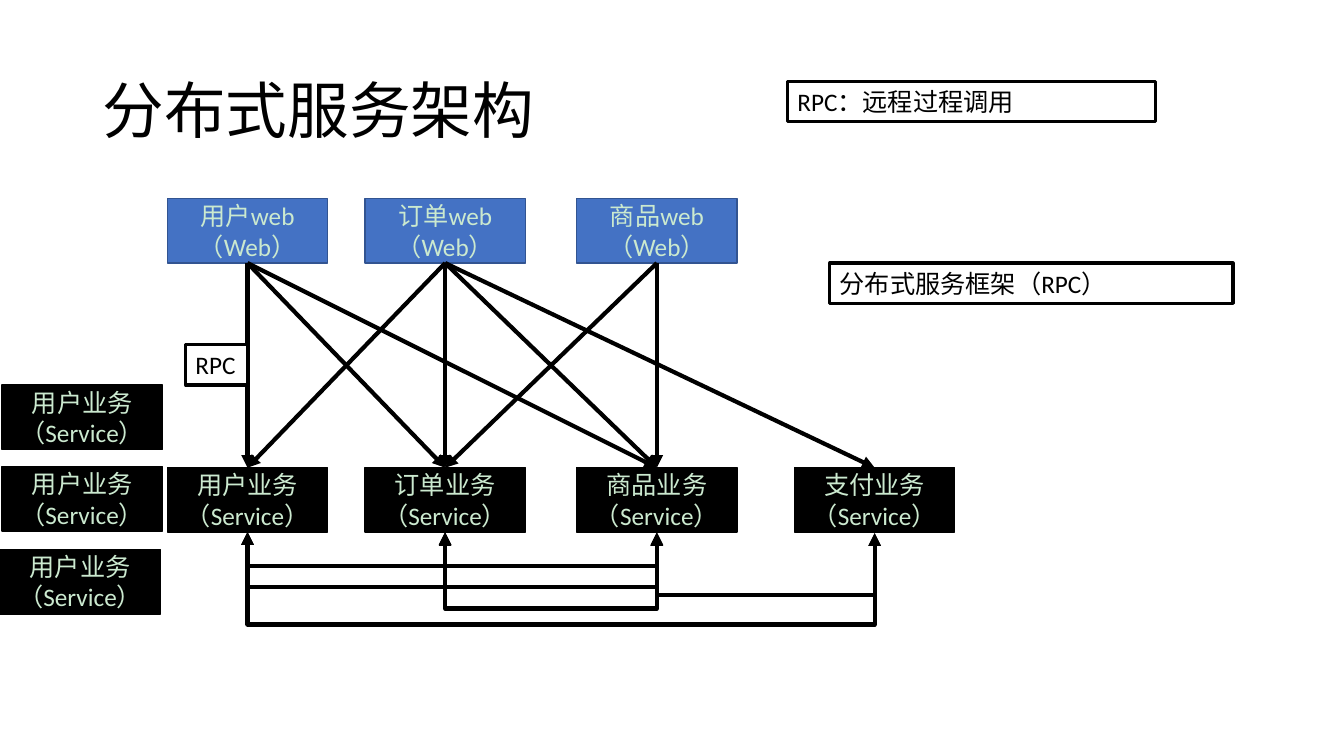
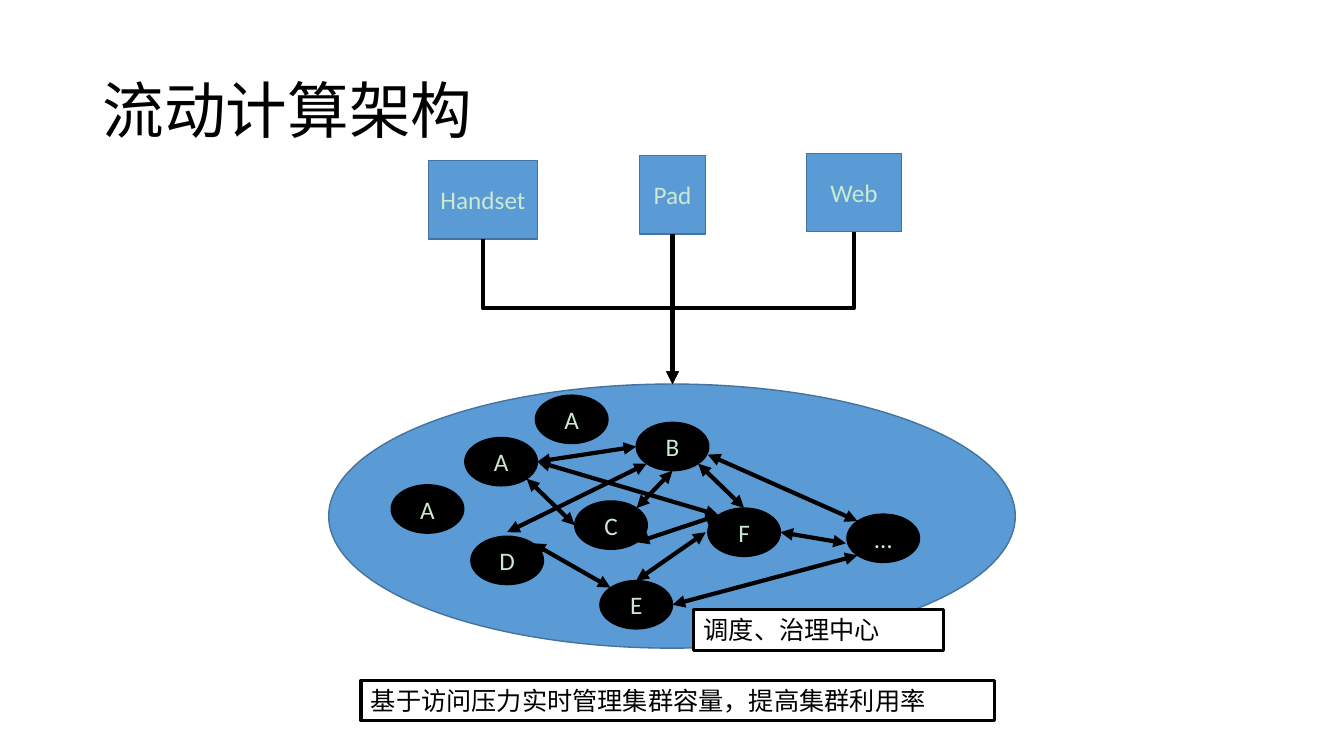
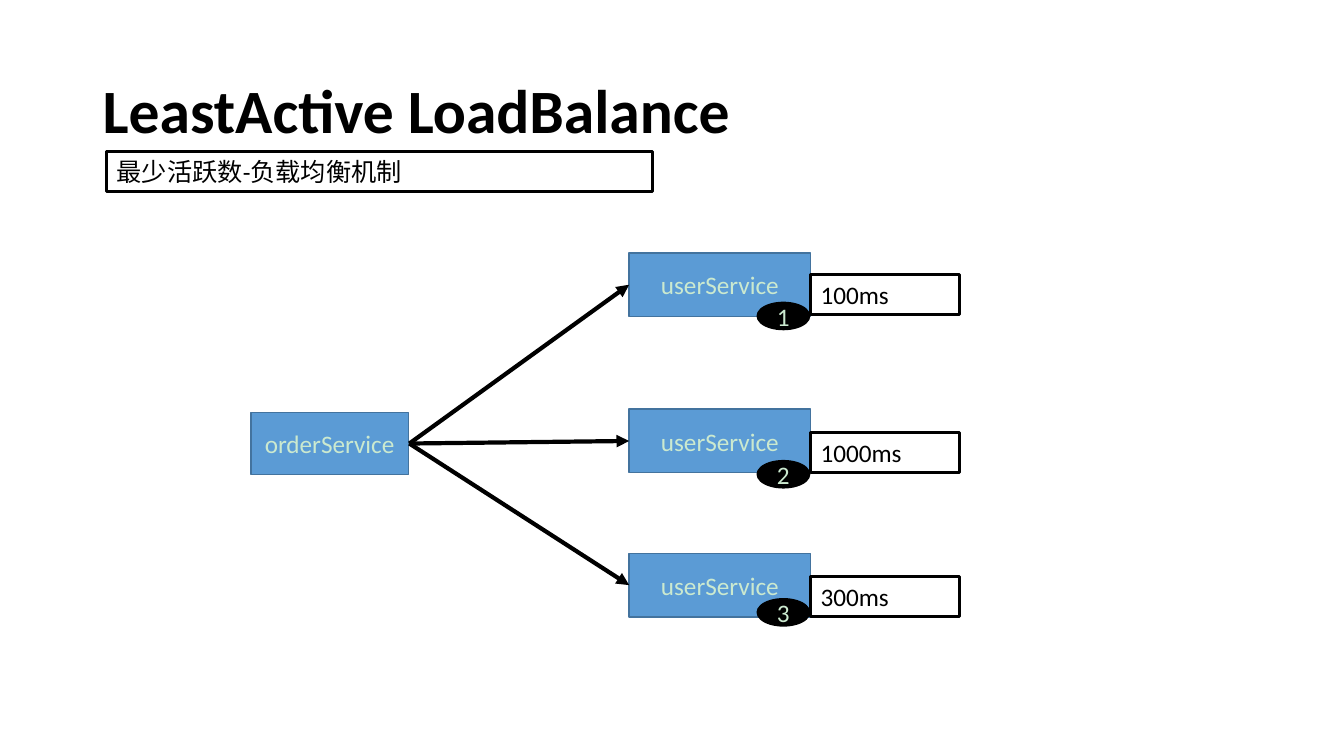
from dataclasses import dataclass
from math import sqrt

from lxml import etree
from pptx import Presentation
from pptx import util as u
from pptx.dml.color import RGBColor
from pptx.enum import shapes, text
from pptx.oxml.ns import qn


@dataclass(frozen=True)
class Theme:
    font: str = "Calibri"
    title_size: int = 44
    body_size: int = 18
    paper: str = "FFFFFF"
    ink: str = "000000"
    pale: str = "CBE9CF"
    web: tuple = ("4472C4", "325491")
    client: tuple = ("5B9BD5", "43739E")
    service: tuple = ("000000", "000000")
    edge_width: float = 1
    label_width: float = 2.25
    arrow_width: float = 3


T = Theme()
RECT = shapes.MSO_SHAPE.RECTANGLE
OVAL = shapes.MSO_SHAPE.OVAL
STRAIGHT = shapes.MSO_CONNECTOR.STRAIGHT
ELBOW = shapes.MSO_CONNECTOR.ELBOW


def rgb(color):
    return RGBColor.from_string(color)


def inches(*values):
    return [u.Inches(v) for v in values]


def write(tf, content, color, size=T.body_size, align=None, bold=None):
    tf.word_wrap = True
    for i, line in enumerate(content.split("\n")):
        p = tf.add_paragraph() if i else tf.paragraphs[0]
        p.text = line
        p.alignment = align
        p.font.name, p.font.size, p.font.bold = T.font, u.Pt(size), bold
        p.font.color.rgb = rgb(color)


def add_slide(prs, title, bold=None):
    s = prs.slides.add_slide(prs.slide_layouts[6])
    s.background.fill.solid()
    s.background.fill.fore_color.rgb = rgb(T.paper)
    tf = s.shapes.add_textbox(*inches(0.92, 0.4, 11.5, 1.45)).text_frame
    write(tf, title, T.ink, T.title_size, bold=bold)
    tf.vertical_anchor = text.MSO_ANCHOR.MIDDLE
    tf.paragraphs[0].line_spacing = 0.9
    return s


def add_shape(s, kind, box, fill, line, width):
    sp = s.shapes.add_shape(kind, *inches(*box))
    sp.shadow.inherit = False
    sp.fill.solid()
    sp.fill.fore_color.rgb = rgb(fill)
    sp.line.color.rgb = rgb(line)
    sp.line.width = u.Pt(width)
    return sp


def add_node(s, content, box, colors, kind=RECT):
    sp = add_shape(s, kind, box, *colors, T.edge_width)
    sp.text_frame.vertical_anchor = text.MSO_ANCHOR.MIDDLE
    if content:
        write(sp.text_frame, content, T.pale, align=text.PP_ALIGN.CENTER)


def add_label(s, content, x, y, width):
    sp = add_shape(s, RECT, (x, y, width, 0.4), T.paper, T.ink, T.label_width)
    tf = sp.text_frame
    write(tf, content, T.ink, align=text.PP_ALIGN.LEFT)
    tf.vertical_anchor = text.MSO_ANCHOR.TOP
    tf.auto_size = text.MSO_AUTO_SIZE.SHAPE_TO_FIT_TEXT


def add_arrow(s, start, end, both=False, kind=STRAIGHT):
    c = s.shapes.add_connector(kind, *inches(*start, *end))
    c.line.color.rgb = rgb(T.ink)
    c.line.width = u.Pt(T.arrow_width)
    props = c.element.spPr
    ln = props.find(qn("a:ln"))
    for tag in ("a:headEnd", "a:tailEnd") if both else ("a:tailEnd",):
        etree.SubElement(ln, qn(tag), type="triangle")
    etree.SubElement(props, qn("a:effectLst"))
    return c


def add_elbow(s, start, end, bend_y, both=False):
    (x1, y1), (x2, y2) = start, end
    mid_x, mid_y = (x1 + x2) / 2, (y1 + y2) / 2
    half_run, half_drop = abs(x2 - x1) / 2, (y2 - y1) / 2
    rightward = x2 > x1
    reach = half_drop if rightward else -half_drop
    c = add_arrow(s, (mid_x + reach, mid_y - half_run),
                  (mid_x - reach, mid_y + half_run), both, ELBOW)
    props = c.element.spPr
    props.find(qn("a:xfrm")).set("rot", str((270 if rightward else 90) * 60000))
    geometry = props.find(qn("a:prstGeom"))
    guides = geometry.find(qn("a:avLst"))
    if guides is None:
        guides = etree.SubElement(geometry, qn("a:avLst"))
    share = round((bend_y - y1) / (y2 - y1) * 100000)
    etree.SubElement(guides, qn("a:gd"), name="adj1", fmla=f"val {share}")


def distributed_services(prs):
    s = add_slide(prs, "分布式服务架构")
    lefts = (1.66, 3.62, 5.72, 7.88)
    width, height, web_top, service_top = 1.59, 0.64, 1.97, 4.64
    web_bottom, service_bottom = web_top + height, service_top + height
    centers = [x + width / 2 for x in lefts]
    subjects = ("用户", "订单", "商品", "支付")

    for x, subject in zip(lefts, subjects):
        add_node(s, f"{subject}业务\n（Service）", (x, service_top, width, height), T.service)
    for x, subject in zip(lefts[:3], subjects):
        add_node(s, f"{subject}web\n（Web）", (x, web_top, width, height), T.web)

    for web, services in enumerate(((0, 1, 2), (0, 1, 2, 3), (1, 2))):
        for service in services:
            add_arrow(s, (centers[web], web_bottom), (centers[service], service_top))
    for a, b, bend_y in ((0, 3, 6.21), (0, 2, 5.83), (0, 1, 5.62),
                         (1, 2, 5.62), (1, 2, 6.05), (2, 3, 5.91)):
        add_elbow(s, (centers[a], service_bottom),
                  (centers[b], service_bottom + 0.01), bend_y, both=True)

    add_label(s, "RPC", 1.84, 3.42, 0.62)
    add_label(s, "RPC：远程过程调用", 7.81, 0.81, 3.65)
    add_label(s, "分布式服务框架（RPC）", 8.23, 2.61, 4)
    for x, y in ((0.02, 4.63), (0.02, 3.82), (0, 5.45)):
        add_node(s, "用户业务\n（Service）", (x, y, width, height), T.service)


def flowing_computing(prs):
    s = add_slide(prs, "流动计算架构")
    add_node(s, "", (3.26, 3.81, 6.81, 2.62), T.client, OVAL)
    width, height = 0.72, 0.48
    nodes = {"A": (4.61, 4.34), "D": (4.67, 5.32), "C": (5.7, 4.97), "B": (6.31, 4.19),
             "E": (5.95, 5.76), "F": (7.02, 5.04), "…": (8.4, 5.1)}
    spare_nodes = [("A", (3.88, 4.81)), ("A", (5.31, 3.92))]
    for name, (x, y) in [*nodes.items(), *spare_nodes]:
        add_node(s, name, (x, y, width, height), T.service, OVAL)

    gateway = (6.67, 3.81)
    for name, x, y, w, bend_y in (("Handset", 4.25, 1.59, 1.08, 3.06),
                                  ("Pad", 6.34, 1.54, 0.66, None),
                                  ("Web", 8, 1.52, 0.94, 3.06)):
        add_node(s, name, (x, y, w, 0.78), T.client)
        start = (x + w / 2, y + 0.78)
        if bend_y:
            add_elbow(s, start, gateway, bend_y)
        else:
            add_arrow(s, start, gateway)

    diagonal = sqrt(0.5)
    sides = {"top": (0, -1), "bottom": (0, 1), "left": (-1, 0), "right": (1, 0),
             "nw": (-diagonal, -diagonal), "ne": (diagonal, -diagonal),
             "sw": (-diagonal, diagonal), "se": (diagonal, diagonal)}

    def rim(name, side):
        (x, y), (dx, dy) = nodes[name], sides[side]
        return x + width / 2 * (1 + dx), y + height / 2 * (1 + dy)

    for start, end in (
        (rim("B", "se"), rim("F", "top")),
        ((7, 5.28), rim("E", "top")),
        (rim("F", "nw"), rim("C", "se")),
        (rim("A", "right"), rim("B", "left")),
        (rim("B", "bottom"), rim("C", "ne")),
        (rim("D", "ne"), rim("E", "nw")),
        (rim("A", "se"), rim("C", "left")),
        (rim("F", "nw"), rim("A", "right")),
        (rim("F", "right"), (8.39, 5.39)),
        ((5.03, 5.28), rim("B", "sw")),
        ((7.02, 4.51), rim("…", "nw")),
        (rim("E", "right"), rim("…", "sw")),
    ):
        add_arrow(s, start, end, both=True)

    add_label(s, "调度、治理中心", 6.88, 6.05, 2.48)
    add_label(s, "基于访问压力实时管理集群容量，提高集群利用率", 3.58, 6.75, 6.28)


def least_active(prs):
    s = add_slide(prs, "LeastActive LoadBalance", bold=True)
    add_label(s, "最少活跃数-负载均衡机制", 1.06, 1.5, 5.41)
    add_node(s, "orderService", (2.49, 4.09, 1.56, 0.62), T.client)
    replicas = (("100ms", 2.51, 2.72, 3), ("1000ms", 4.06, 4.29, 4.57),
                ("300ms", 5.49, 5.72, 5.94))
    for rank, (delay, top, delay_top, badge_top) in enumerate(replicas, 1):
        add_node(s, "userService", (6.24, top, 1.8, 0.63), T.client)
        add_label(s, delay, 8.04, delay_top, 1.48)
        add_arrow(s, (4.06, 4.4), (6.24, top + 0.63 / 2))
        add_node(s, str(rank), (7.51, badge_top, 0.52, 0.27), T.service, OVAL)


def main():
    prs = Presentation()
    prs.slide_width, prs.slide_height = inches(13.33, 7.5)
    distributed_services(prs)
    flowing_computing(prs)
    least_active(prs)
    prs.save("out.pptx")


main()
